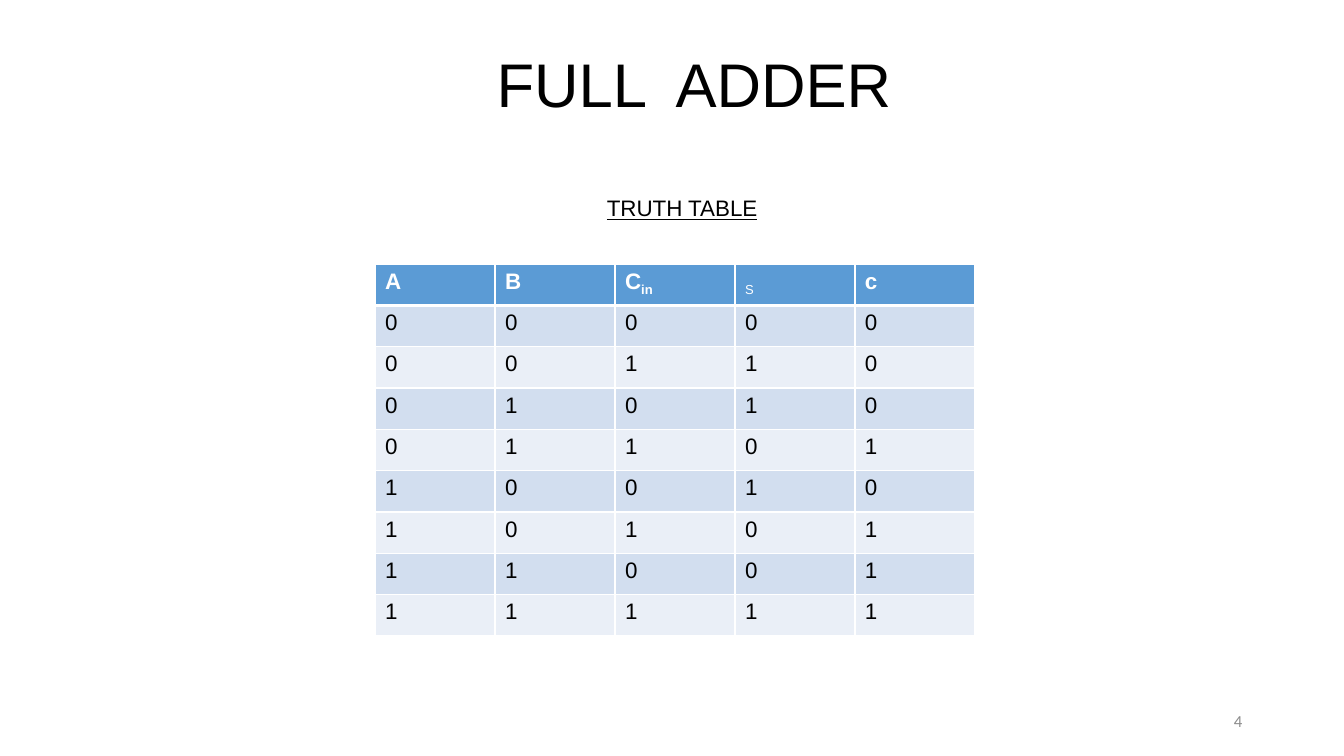
import dataclasses
import itertools

import lxml.etree
import pptx
import pptx.dml.color
import pptx.enum.text
import pptx.oxml.ns
import pptx.util

Inches = pptx.util.Inches
Align = pptx.enum.text.PP_ALIGN
Anchor = pptx.enum.text.MSO_ANCHOR

WHITE = "FFFFFF"
BLACK = "000000"
HEADER_BLUE = "5B9BD5"
BANDS = ("D2DEEF", "EAEFF7")
COLUMN_WIDTH = 1.19
ROW_HEIGHT = 0.41


@dataclasses.dataclass(frozen=True)
class Span:
    text: str
    bold: bool = True
    baseline: int = 0


@dataclasses.dataclass(frozen=True)
class Label:
    text: str
    left: float
    top: float
    width: float
    height: float
    size: int
    font: str = "Arial"
    color: str = BLACK
    align: Align = Align.LEFT
    anchor: Anchor = Anchor.TOP
    underline: bool = False
    wrap: bool = True
    line_spacing: float = 1.0


TITLE = Label("FULL  ADDER", 0.83, 0.3, 12.11, 1.14, 44,
              align=Align.CENTER, anchor=Anchor.MIDDLE, line_spacing=0.9)
PAGE_NUMBER = Label("4", 9.42, 6.95, 3, 0.4, 12, font="Calibri", color="8C8C8C",
                    align=Align.RIGHT, anchor=Anchor.MIDDLE)
TABLE_HEADING = Label("TRUTH TABLE", 5.92, 1.88, 1.87, 0.37, 16, underline=True, wrap=False)

HEADERS = (
    (Span("A"),),
    (Span("B"),),
    (Span("C"), Span("in", baseline=-25000)),
    (Span("S", bold=False, baseline=-25000),),
    (Span("c"),),
)


def rgb(color: str) -> pptx.dml.color.RGBColor:
    return pptx.dml.color.RGBColor.from_string(color)


def add_text(para, text: str, *, size: int = 16, font: str = "Arial", color: str = BLACK,
             bold: bool = False, underline: bool = False, baseline: int = 0) -> None:
    span = para.add_run()
    span.text = text
    span.font.size = pptx.util.Pt(size)
    span.font.name = font
    span.font.color.rgb = rgb(color)
    span.font.bold = bold
    span.font.underline = underline
    if baseline:
        span._r.get_or_add_rPr().set("baseline", str(baseline))


def draw_label(box, label: Label) -> None:
    box.left, box.top = Inches(label.left), Inches(label.top)
    box.width, box.height = Inches(label.width), Inches(label.height)
    frame = box.text_frame
    frame.word_wrap = label.wrap
    frame.auto_size = pptx.enum.text.MSO_AUTO_SIZE.NONE
    frame.vertical_anchor = label.anchor
    para = frame.paragraphs[0]
    para.alignment = label.align
    para.line_spacing = label.line_spacing
    add_text(para, label.text, size=label.size, font=label.font,
             color=label.color, underline=label.underline)


def set_border(cell, side: str, points: float) -> None:
    properties = cell._tc.get_or_add_tcPr()
    qualify = pptx.oxml.ns.qn
    line = lxml.etree.SubElement(properties, qualify(f"a:ln{side}"), w=str(pptx.util.Pt(points)))
    fill = lxml.etree.SubElement(line, qualify("a:solidFill"))
    lxml.etree.SubElement(fill, qualify("a:srgbClr"), val=WHITE)


def draw_cell(cell, spans: tuple[Span, ...], *, fill: str, color: str,
              top_border: float, bottom_border: float) -> None:
    for side, points in (("L", 1), ("R", 1), ("T", top_border), ("B", bottom_border)):
        set_border(cell, side, points)
    cell.fill.solid()
    cell.fill.fore_color.rgb = rgb(fill)
    for span in spans:
        add_text(cell.text_frame.paragraphs[0], span.text, color=color,
                 bold=span.bold, baseline=span.baseline)


def adder_rows() -> list[tuple[int, ...]]:
    return [(*bits, sum(bits) % 2, sum(bits) // 2)
            for bits in itertools.product((0, 1), repeat=3)]


def draw_truth_table(page) -> None:
    rows = adder_rows()
    row_count, column_count = len(rows) + 1, len(HEADERS)
    table = page.shapes.add_table(
        row_count, column_count, Inches(3.72), Inches(2.62),
        Inches(COLUMN_WIDTH * column_count), Inches(ROW_HEIGHT * row_count)).table
    for column in table.columns:
        column.width = Inches(COLUMN_WIDTH)
    for row in table.rows:
        row.height = Inches(ROW_HEIGHT)
    for column, spans in enumerate(HEADERS):
        draw_cell(table.cell(0, column), spans, fill=HEADER_BLUE, color=WHITE,
                  top_border=1, bottom_border=3)
    for index, values in enumerate(rows):
        for column, value in enumerate(values):
            draw_cell(table.cell(index + 1, column), (Span(str(value), bold=False),),
                      fill=BANDS[index % 2], color=BLACK,
                      top_border=1 if index else 3, bottom_border=1)


def main() -> None:
    deck = pptx.Presentation()
    deck.slide_width, deck.slide_height = Inches(13.33), Inches(7.5)
    page = deck.slides.add_slide(deck.slide_layouts[5])
    draw_label(page.shapes.title, TITLE)
    draw_truth_table(page)
    for label in (PAGE_NUMBER, TABLE_HEADING):
        draw_label(page.shapes.add_textbox(0, 0, 0, 0), label)
    deck.save("out.pptx")


if __name__ == "__main__":
    main()
